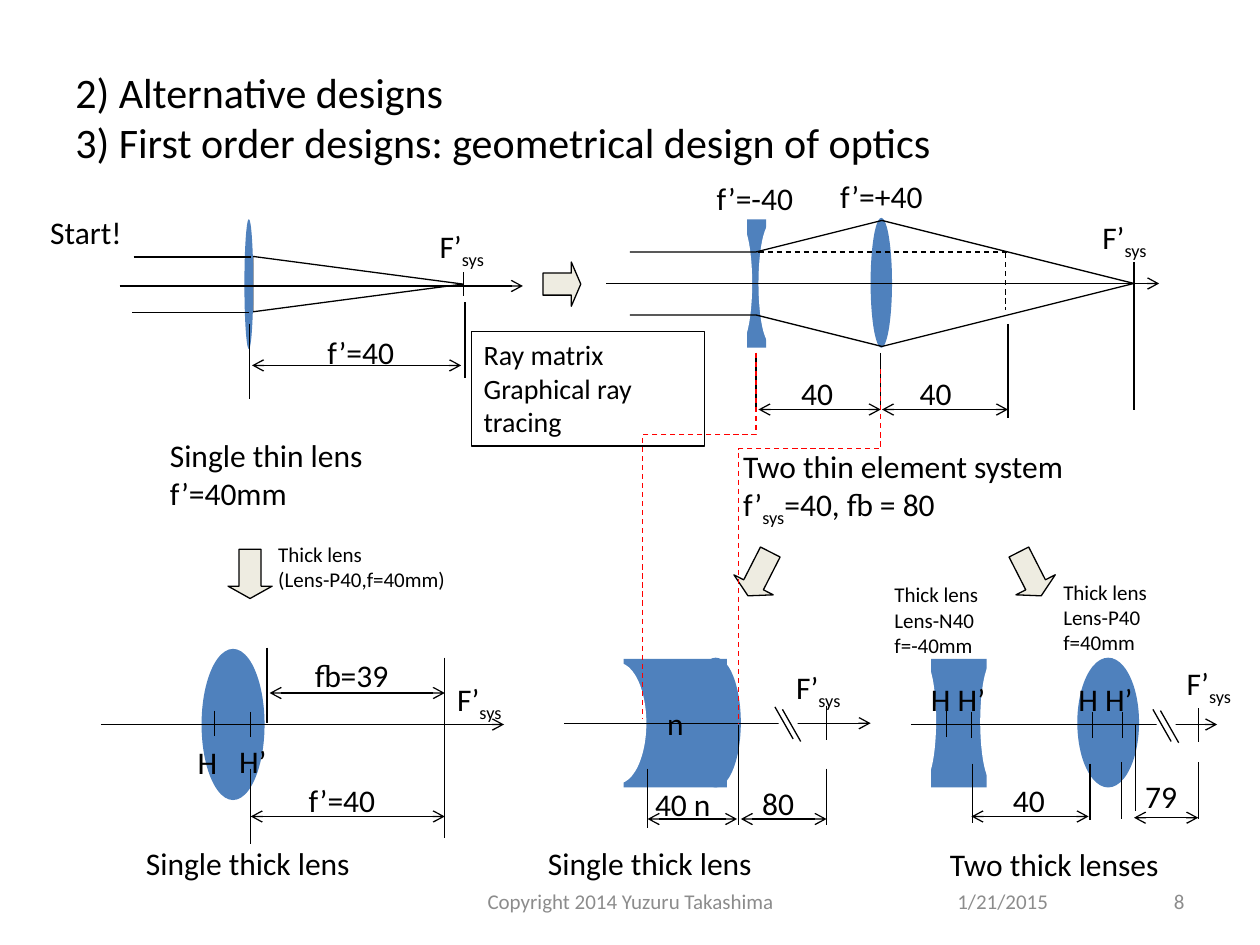
from lxml.etree import SubElement
from pptx import Presentation
from pptx.dml.color import RGBColor
from pptx.enum.dml import MSO_LINE
from pptx.enum.shapes import MSO_CONNECTOR, MSO_SHAPE as SHAPE
from pptx.enum.text import MSO_ANCHOR as ANCHOR, MSO_AUTO_SIZE as FIT, PP_ALIGN as ALIGN
from pptx.oxml.ns import qn
from pptx.util import Inches, Pt

C = {k: RGBColor.from_string(v) for k, v in {
    "black": "000000", "white": "FFFFFF", "glass": "4F81BD",
    "arrow": "EEECE1", "trace": "FF0000", "footer": "8C8C8C"}.items()}

prs = Presentation()
prs.slide_width, prs.slide_height = Inches(10), Inches(7.5)
slide = prs.slides.add_slide(prs.slide_layouts[6])
shapes = slide.shapes
CELL = prs.slide_width / 100  # 100 columns by 75 rows of square cells


def grid(*cells):
    return [round(c * CELL) for c in cells]


def write(tf, lines, size, color="black", align=ALIGN.LEFT, **frame):
    """Fill a text frame; an underscore in a line starts a three-letter subscript."""
    for name, value in frame.items():
        setattr(tf, name, value)
    for i, line in enumerate(lines):
        p = tf.paragraphs[0] if i == 0 else tf.add_paragraph()
        p.alignment = align
        base, _, rest = line.partition("_")
        for text, sub in (base, False), (rest[:3], True), (rest[3:], False):
            if not text:
                continue
            r = p.add_run()
            r.text = text
            r.font.name, r.font.size = "Calibri", Pt(size)
            r.font.color.rgb = C[color]
            if sub:
                r.font._element.set("baseline", "-25000")


# Lenses, ray cone and step arrows: kind, left, top, width, height, fill, outlined, rotation
OVAL, RECT, DOWN = SHAPE.OVAL, SHAPE.RECTANGLE, SHAPE.DOWN_ARROW
solids = [
    (SHAPE.ISOSCELES_TRIANGLE, 26.2, 14.2, 4.4, 16.7, None, True, 90),
    (OVAL, 16, 51.5, 5, 12, "glass", False, 0),
    (DOWN, 18.1, 43.6, 3.5, 3.9, "arrow", True, 0),
    (SHAPE.RIGHT_ARROW, 43.1, 20.8, 3, 3.5, "arrow", True, 0),
    (OVAL, 69.1, 17.3, 1.7, 10.3, "glass", False, 0),
    (RECT, 59.3, 17.4, 1.5, 10.2, "glass", False, 0),
    (OVAL, 60.2, 17.7, 2, 9.6, "white", False, 0),
    (OVAL, 57.7, 17.7, 2, 9.6, "white", False, 0),
    (OVAL, 19.4, 17.4, 0.7, 10.3, "glass", False, 0),
    (DOWN, 58.5, 43.6, 3.5, 3.9, "arrow", True, 27),
    (DOWN, 80, 43.6, 3.5, 3.9, "arrow", True, 333),
    (OVAL, 54.8, 52.2, 4, 10.3, "glass", False, 0),
    (RECT, 49.5, 52.3, 8.2, 10.2, "glass", False, 0),
    (OVAL, 46.8, 52.6, 4.5, 9.6, "white", False, 0),
    (OVAL, 85.5, 52.2, 4.9, 10.3, "glass", False, 0),
    (RECT, 73.9, 52.3, 4.4, 10.2, "glass", False, 0),
    (OVAL, 77.8, 52.5, 2, 9.6, "white", False, 0),
    (OVAL, 72.3, 52.4, 2, 9.6, "white", False, 0),
]
ray_box = (RECT, 37.4, 26.3, 18.5, 9.1, None, True, 0)
axis_gaps = [(RECT, x, y, 1.5, 1.4, "white", False, 0)
             for x, y in ((61.8, 56.8), (91.8, 56.9))]

# Lines: x1, y1, x2, y2, arrowheads, dashed
axes = [(9.5, 41.5, 22.7), (48.1, 92, 22.5), (8, 40, 57.5),
        (72.3, 96.6, 57.5), (44.8, 69.1, 57.4)]
dimensions = [(20, 36.6, 29), (60.2, 69.9, 32.5), (70, 80, 32.5),
              (21.4, 35.3, 55), (19.9, 35.3, 64.8), (51.4, 58.5, 65),
              (58.8, 65.6, 65), (77.1, 86.4, 64.8), (90, 95.1, 64.9)]
incoming_rays = [(10.6, 19.9, 20.4), (10.5, 19.8, 24.8)]
verticals = [
    # thin lens
    (19.8, 25.7, 31.7), (36.8, 21.6, 23.5), (36.9, 24, 30),
    # two thin elements
    (60, 28, 32.7), (69.9, 28, 32.5), (80, 25.7, 33.2), (90, 20.8, 23.5), (90, 23.5, 32.5),
    # thick lens
    (17, 56.4, 58.4), (19.9, 56.5, 58.5), (19.9, 61, 67), (35.3, 52.2, 66.5), (21.2, 51.4, 57.4),
    # single thick lens replacing two elements
    (51.4, 61, 65.7), (58.6, 57.5, 65.5), (65.6, 56, 58.7), (65.6, 61, 65.5),
    # two thick lenses
    (75.1, 56.4, 58.5), (77.1, 56.5, 58.6), (86.7, 56.5, 58.6), (89.1, 56.5, 58.6),
    (77.2, 60.6, 65.3), (86.5, 60.6, 65.1), (89, 60.5, 65), (90.1, 57.5, 64.4),
    (95.1, 56.2, 58.9), (95.1, 60.5, 65),
]
break_marks = [(61.5, 56.1), (62.1, 56.3), (91.5, 56.3), (92.1, 56.4)]
TAIL, BOTH = ("tailEnd",), ("headEnd", "tailEnd")
lines = [(a, y, b, y, TAIL, False) for a, b, y in axes]
lines += [(a, y, b, y, BOTH, False) for a, b, y in dimensions]
lines += [(a, y, b, y, (), False) for a, b, y in incoming_rays]
lines += [(x, a, x, b, (), False) for x, a, b in verticals]
lines += [(60.2, 20, 80, 20, (), True), (79.8, 20.1, 79.8, 24.6, (), True)]
marks = [(x, y, x + 1.45, y + 2.55, (), False) for x, y in break_marks]

# Bent rays and the dashed traces from thin to thick surfaces
paths = [
    ("black", [(50, 20), (60, 20), (70, 17.5), (90, 22.5)]),
    ("black", [(50, 25), (60, 25), (70, 27.5), (90, 22.5)]),
    ("trace", [(60, 28), (60, 34.5), (51, 34.5), (51, 57)]),
    ("trace", [(69.9, 29.3), (69.9, 35.6), (58.6, 35.6), (58.6, 57.5)]),
]

# Labels: left, top, width, size, lines
labels = [
    (10.6, 66.5, 20.1, 18, ["Single thick lens"]),
    (42.5, 66.5, 20.1, 18, ["Single thick lens"]),
    (74.4, 66.6, 20.5, 18, ["Two thick lenses"]),
    (12.5, 34.1, 19, 18, ["Single thin lens", "f’=40mm"]),
    (58, 35, 29.7, 18, ["Two thin element system", "f’_sys=40, fb = 80"]),
    (21.1, 42.5, 17.5, 12, ["Thick lens", "(Lens-P40,f=40mm)"]),
    (83.4, 45.5, 9.8, 12, ["Thick lens", "Lens-P40", "f=40mm"]),
    (70, 45.7, 9.8, 12, ["Thick lens", "Lens-N40", "f=-40mm"]),
    (3, 16.4, 8, 18, ["Start!"]),
    (14.7, 58.5, 3.8, 18, ["H"]),
    (18, 58.4, 4.4, 18, ["H’"]),
    (23.5, 61.5, 7.5, 18, ["f’=40"]),
    (25, 25.9, 7.5, 18, ["f’=40"]),
    (24, 51.6, 8.3, 18, ["fb=39"]),
    (55.9, 13.7, 8.3, 18, ["f’=-40"]),
    (65.7, 13.6, 9, 18, ["f’=+40"]),
    (51, 61.8, 6.9, 18, ["40 n"]),
]
labels += [(x, y, 4.8, 18, [t]) for x, y, t in (
    (62.6, 29.2, "40"), (72, 29.2, "40"), (79.4, 61.5, "40"),
    (89.9, 61.2, "79"), (59.5, 61.7, "80"))]
labels += [(x, 53.5, 6.9, 18, ["H H’"]) for x in (72.9, 84.6)]
labels += [(x, y, 6.6, 18, ["F’_sys"]) for x, y in (
    (33.9, 17.5), (86.5, 16.8), (35.3, 53.5), (62.2, 52.5), (93.2, 52.2))]

for kind, x, y, w, h, fill, outlined, turn in solids + [ray_box]:
    s = shapes.add_shape(kind, *grid(x, y, w, h))
    s.shadow.inherit = False
    s.rotation = turn
    if fill:
        s.fill.solid()
        s.fill.fore_color.rgb = C[fill]
    else:
        s.fill.background()
    if outlined:
        s.line.color.rgb, s.line.width = C["black"], Pt(0.75)
    else:
        s.line.fill.background()
    if kind in (DOWN, SHAPE.RIGHT_ARROW):
        s.adjustments[1] = 0.28 if kind == DOWN else 0.25
    if (kind, x) == (RECT, 49.5):
        write(s.text_frame, ["n"], 18, align=ALIGN.CENTER,
              word_wrap=False, vertical_anchor=ANCHOR.MIDDLE)
write(s.text_frame, ["Ray matrix", "Graphical ray tracing"], 16, word_wrap=True,
      auto_size=FIT.SHAPE_TO_FIT_TEXT, vertical_anchor=ANCHOR.TOP)

for group, gaps in (lines, axis_gaps), (marks, []):
    for x1, y1, x2, y2, ends, dashed in group:
        s = shapes.add_connector(MSO_CONNECTOR.STRAIGHT, *grid(x1, y1, x2, y2))
        s.line.color.rgb, s.line.width = C["black"], Pt(0.75)
        if dashed:
            s.line.dash_style = MSO_LINE.DASH
        for end in ends:
            SubElement(s.line._get_or_add_ln(), qn("a:" + end), type="arrow")
        SubElement(s._element.spPr, qn("a:effectLst"))
    for kind, x, y, w, h, fill, *_ in gaps:
        s = shapes.add_shape(kind, *grid(x, y, w, h))
        s.shadow.inherit = False
        s.fill.solid()
        s.fill.fore_color.rgb = C[fill]
        s.line.fill.background()

for color, points in paths:
    start, *rest = [grid(*pt) for pt in points]
    builder = shapes.build_freeform(*start)
    builder.add_line_segments(rest, close=False)
    s = builder.convert_to_shape()
    s.shadow.inherit = False
    s.fill.background()
    s.line.color.rgb, s.line.width = C[color], Pt(0.75)
    if color == "trace":
        s.line.dash_style = MSO_LINE.DASH

for x, y, w, size, text in labels:
    height = 1 + len(text) * size / 6  # insets plus 1.2 line spacing
    s = shapes.add_textbox(*grid(x, y, w, height))
    write(s.text_frame, text, size, word_wrap=False, auto_size=FIT.SHAPE_TO_FIT_TEXT)

title = ["2) Alternative designs", "3) First order designs: geometrical design of optics"]
for x, y, w, h, size, color, align, text in (
        (5, 3, 90, 12.5, 24, "black", ALIGN.LEFT, title),
        (75, 69.5, 23.3, 4, 12, "footer", ALIGN.LEFT, ["1/21/2015"]),
        (34.2, 69.5, 31.7, 4, 12, "footer", ALIGN.CENTER, ["Copyright 2014 Yuzuru Takashima"]),
        (71.7, 69.5, 23.3, 4, 12, "footer", ALIGN.RIGHT, ["8"])):
    s = shapes.add_textbox(*grid(x, y, w, h))
    write(s.text_frame, text, size, color, align, word_wrap=True, vertical_anchor=ANCHOR.MIDDLE)

prs.save("out.pptx")
